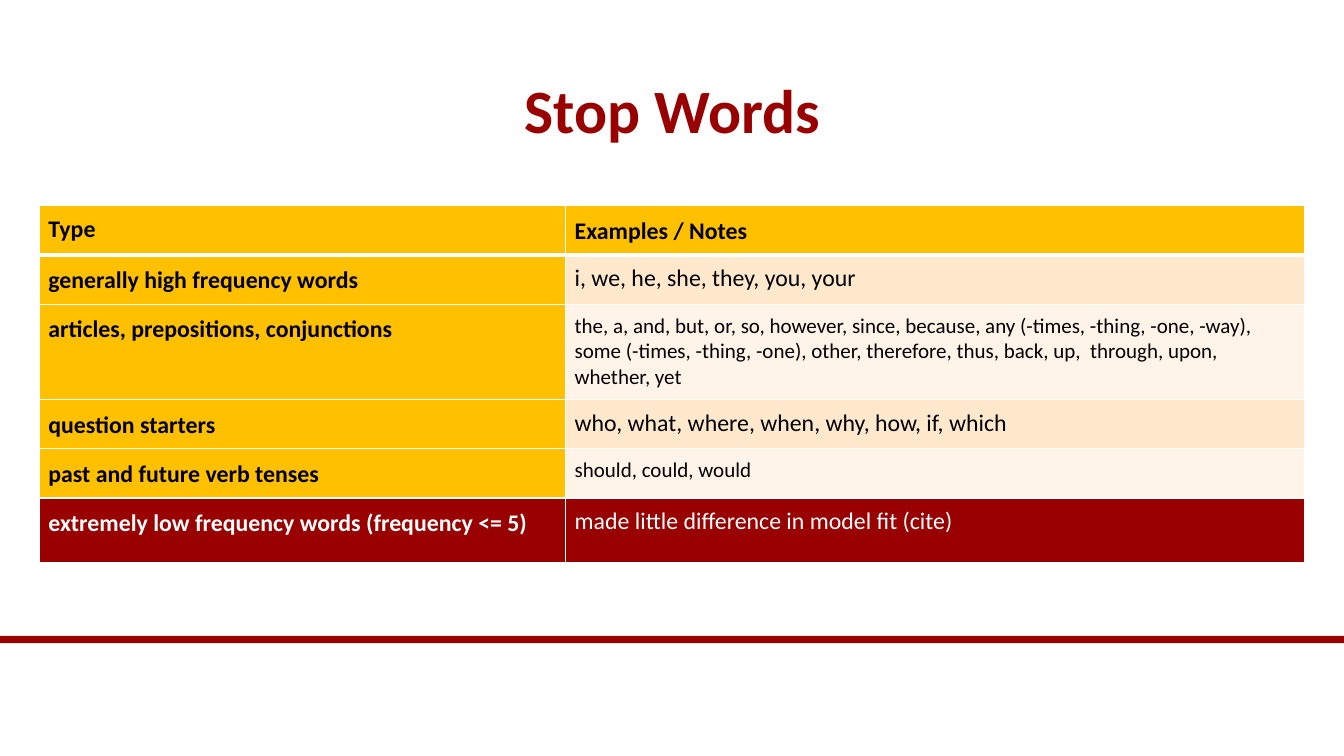
from lxml import etree
from pptx import Presentation
from pptx.dml.color import RGBColor
from pptx.enum.shapes import MSO_SHAPE
from pptx.enum.text import MSO_ANCHOR, PP_ALIGN
from pptx.oxml.ns import qn
from pptx.util import Inches, Pt

RECTANGLE = MSO_SHAPE.RECTANGLE
MIDDLE = MSO_ANCHOR.MIDDLE
CENTER = PP_ALIGN.CENTER
LEFT = PP_ALIGN.LEFT

WIDTH, HEIGHT = 13.33, 7.5
COLORS = {
    "red": "990000", "gold": "FFC000", "peach": "FFE8CC",
    "cream": "FFF4E7", "black": "000000", "white": "FFFFFF",
}
COLUMN_WIDTHS = [5.22, 7.33]
CELL_INSET = 0.09
ROWS = [
    (0.4, "Type", "Examples / Notes", "gold", 17),
    (0.47, "generally high frequency words",
     "i, we, he, she, they, you, your", "peach", 17),
    (0.83, "articles, prepositions, conjunctions",
     "the, a, and, but, or, so, however, since, because, any "
     "(-times, -thing, -one, -way), some (-times, -thing, -one), other, "
     "therefore, thus, back, up,  through, upon, whether, yet", "cream", 15),
    (0.4, "question starters",
     "who, what, where, when, why, how, if, which", "peach", 17),
    (0.47, "past and future verb tenses", "should, could, would", "cream", 15),
    (0.64, "extremely low frequency words (frequency <= 5)",
     "made little difference in model fit (cite)", "red", 17),
]


def color(name):
    return RGBColor.from_string(COLORS[name])


def fill_solid(target, name):
    target.fill.solid()
    target.fill.fore_color.rgb = color(name)


def write_text(frame, text, size, font_color, bold, alignment, spacing):
    paragraph = frame.paragraphs[0]
    paragraph.alignment = alignment
    paragraph.line_spacing = spacing
    run = paragraph.add_run()
    run.text = text
    font_format = {"name": "Calibri", "size": Pt(size), "bold": bold}
    for name, value in font_format.items():
        setattr(run.font, name, value)
    run.font.color.rgb = color(font_color)


def add_title(slide, text):
    box = slide.shapes.add_textbox(
        Inches(0.92), Inches(0.4), Inches(11.5), Inches(1.45))
    frame = box.text_frame
    frame.word_wrap = True
    frame.vertical_anchor = MIDDLE
    write_text(frame, text, 44, "red", True, CENTER, 0.9)


def add_footer_band(slide):
    band = slide.shapes.add_shape(
        RECTANGLE, 0, Inches(6.31), Inches(WIDTH), Inches(0.07))
    band.shadow.inherit = False
    fill_solid(band, "red")
    band.line.fill.background()


def set_borders(cell, top, bottom):
    properties = cell._tc.get_or_add_tcPr()
    widths = {"a:lnL": 1, "a:lnR": 1, "a:lnT": top, "a:lnB": bottom}
    for tag, width in widths.items():
        line = etree.SubElement(properties, qn(tag), w=str(Pt(width)))
        solid = etree.SubElement(line, qn("a:solidFill"))
        etree.SubElement(solid, qn("a:srgbClr"), val=COLORS["white"])


def style_cell(cell, text, fill, size, bold, spacing, top, bottom):
    for side in ("left", "right", "top", "bottom"):
        setattr(cell, f"margin_{side}", Inches(CELL_INSET))
    set_borders(cell, top, bottom)
    fill_solid(cell, fill)
    font_color = "white" if fill == "red" else "black"
    write_text(cell.text_frame, text, size, font_color, bold, LEFT, spacing)


def add_word_table(slide):
    table = slide.shapes.add_table(
        len(ROWS), len(COLUMN_WIDTHS), Inches(0.39), Inches(2.04),
        Inches(sum(COLUMN_WIDTHS)), Inches(sum(row[0] for row in ROWS))).table
    for column, width in zip(table.columns, COLUMN_WIDTHS):
        column.width = Inches(width)
    for index, (height, kind, examples, fill, size) in enumerate(ROWS):
        table.rows[index].height = Inches(height)
        header = index == 0
        borders = (3 if index == 1 else 1, 3 if header else 1)
        kind_fill = "red" if fill == "red" else "gold"
        style_cell(table.cell(index, 0), kind, kind_fill, 17, True,
                   1.0 if header else 1.07, *borders)
        style_cell(table.cell(index, 1), examples, fill, size, header,
                   1.07 if header else 1.0, *borders)


def main():
    presentation = Presentation()
    presentation.slide_width = Inches(WIDTH)
    presentation.slide_height = Inches(HEIGHT)
    slide = presentation.slides.add_slide(presentation.slide_layouts[6])
    add_footer_band(slide)
    add_word_table(slide)
    add_title(slide, "Stop Words")
    presentation.save("out.pptx")


if __name__ == "__main__":
    main()
